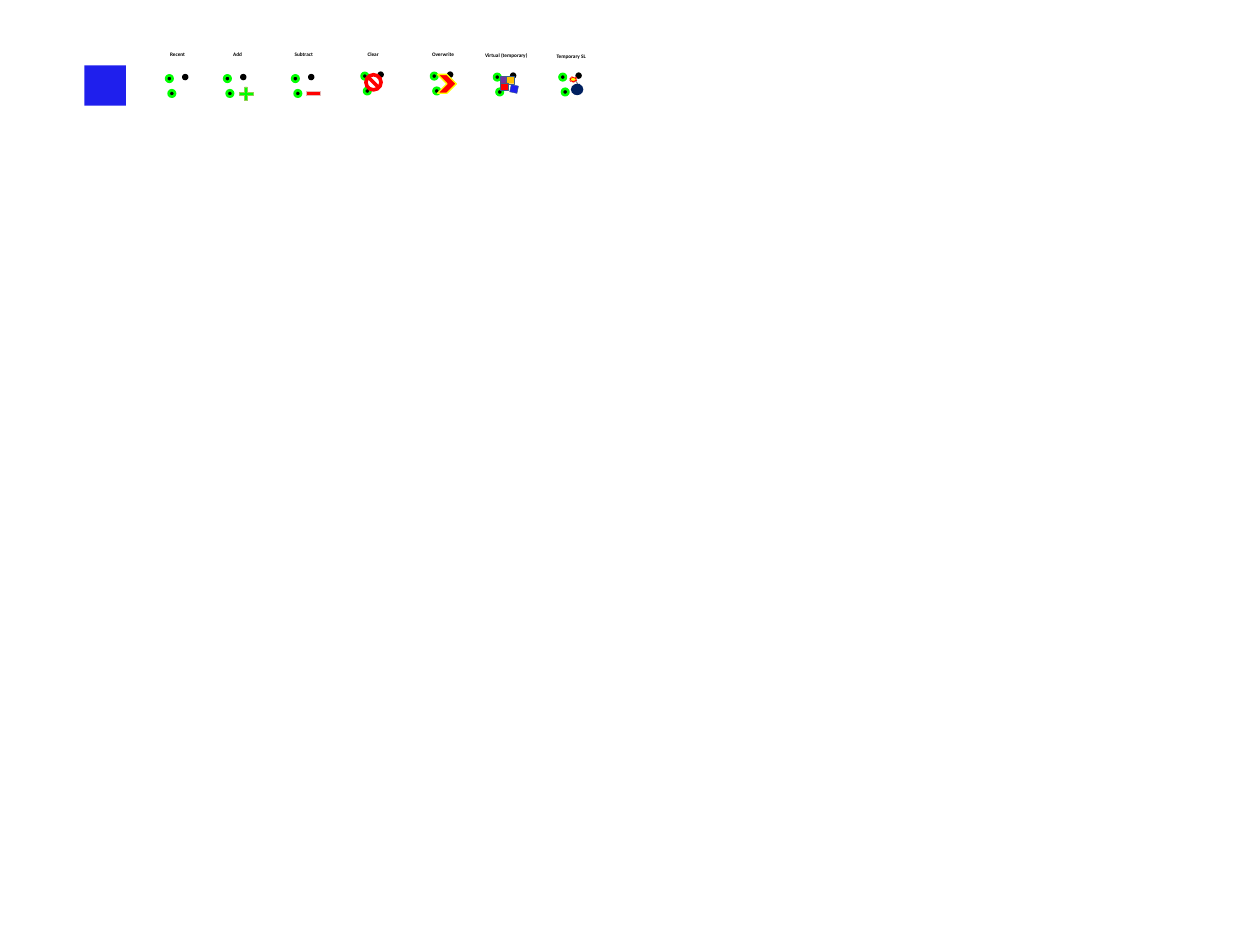
"""Build a slide with a row of small labelled selection icons."""
from pptx import Presentation
from pptx.dml.color import RGBColor
from pptx.enum.shapes import MSO_SHAPE
from pptx.oxml.ns import qn
from pptx.util import Cm, Pt

RECT, OVAL, ARC = MSO_SHAPE.RECTANGLE, MSO_SHAPE.OVAL, MSO_SHAPE.ARC
PLUS, MINUS = MSO_SHAPE.MATH_PLUS, MSO_SHAPE.MATH_MINUS
STOP, CHEVRON, BURST = MSO_SHAPE.NO_SYMBOL, MSO_SHAPE.CHEVRON, MSO_SHAPE.EXPLOSION1

BLACK = RGBColor(0x00, 0x00, 0x00)
BLUE = RGBColor(0x1F, 0x1F, 0xED)
GREEN = RGBColor(0x00, 0xFF, 0x00)
LIME = RGBColor(0x92, 0xD0, 0x50)
RED = RGBColor(0xFF, 0x00, 0x00)
PINK = RGBColor(0xE6, 0xB9, 0xB8)
YELLOW = RGBColor(0xFF, 0xFF, 0x00)
PURPLE = RGBColor(0x70, 0x30, 0xA0)
GOLD = RGBColor(0xFF, 0xC0, 0x00)
STEEL = RGBColor(0x3A, 0x5F, 0x8C)
NAVY = RGBColor(0x00, 0x20, 0x60)
GRAY = RGBColor(0x80, 0x80, 0x80)


def draw(home, kind, x, y, w, h, fill=None, line=None, width=0.25, adj=None, turn=0, flip=False):
    """Add one preset shape, sized in centimetres."""
    shape = home.add_shape(kind, Cm(x), Cm(y), Cm(w), Cm(h))
    shape.shadow.inherit = False
    shape.rotation = turn
    if fill is None:
        shape.fill.background()
    else:
        shape.fill.solid()
        shape.fill.fore_color.rgb = fill
    if line is None:
        shape.line.fill.background()
    else:
        shape.line.color.rgb = line
        shape.line.width = Pt(width)
    if adj is not None:
        shape.adjustments[0] = adj
    if flip:
        shape._element.spPr.find(qn("a:xfrm")).set("flipH", "1")


def label(slide, text, x, y, w):
    """Add one small bold caption."""
    box = slide.shapes.add_textbox(Cm(x), Cm(y), Cm(w), Cm(0.38))
    frame = box.text_frame
    frame.word_wrap = False
    frame.text = text
    font = frame.paragraphs[0].runs[0].font
    font.name = "Calibri"
    font.size = Pt(3)
    font.bold = True
    font.color.rgb = BLACK


deck = Presentation()
deck.slide_width, deck.slide_height = Cm(25.4), Cm(19.05)
slide = deck.slides.add_slide(deck.slide_layouts[6])

draw(slide.shapes, RECT, 1.7, 1.32, 0.84, 0.81, BLUE)

DOT = 0.13
dots = [(0, 0, GREEN), (0.32, -0.03, None), (0.05, 0.3, GREEN)]

plus = [(PLUS, 0.25, 0.18, 0.38, 0.38, GREEN, LIME, 0.25, 0.14)]
minus = [(MINUS, 0.23, 0.18, 0.38, 0.38, RED, PINK, 0.25, 0.21)]
stop = [(STOP, 0.05, 0, 0.38, 0.38, RED, None, 0, 0.2)]
arrow = [(CHEVRON, 0.13, 0.03, 0.38, 0.38, RED, YELLOW, 0.75)]
blocks = [
    (RECT, x, y, 0.15, 0.15, fill, STEEL, 0.25, None, turn)
    for x, y, fill, turn in [
        (0.13, 0.05, PURPLE, 0),
        (0.25, 0.05, GOLD, 0),
        (0.13, 0.18, RED, 0),
        (0.33, 0.23, BLUE, 12),
    ]
]
bomb = [
    (ARC, 0.13, 0.1, 0.23, 0.25, None, GRAY, 0.5, None, 100.5, True),
    (OVAL, 0.23, 0.2, 0.25, 0.23, NAVY),
    (RECT, 0.33, 0.2, 0.08, 0.08, NAVY),
    (BURST, 0.2, 0.05, 0.15, 0.13, YELLOW, RED, 0.25, None, 0, True),
]

icons = [
    ("Recent", 3.18, 0.91, 0.81, 3.35, 1.52, []),
    ("Add", 4.45, 0.91, 0.69, 4.52, 1.52, plus),
    ("Subtract", 5.69, 0.91, 0.89, 5.89, 1.52, minus),
    ("Clear", 7.16, 0.91, 0.74, 7.29, 1.47, stop),
    ("Overwrite", 8.46, 0.91, 0.97, 8.69, 1.47, arrow),
    ("Virtual (temporary)", 9.53, 0.93, 1.37, 9.96, 1.49, blocks),
    ("Temporary SL", 10.97, 0.95, 1.12, 11.28, 1.49, bomb),
]
for text, left, top, wide, x, y, marks in icons:
    label(slide, text, left, top, wide)
    group = slide.shapes.add_group_shape().shapes
    for dx, dy, ring in dots:
        draw(group, OVAL, x + dx, y + dy, DOT, DOT, BLACK, ring, 1.5)
    for kind, dx, dy, *rest in marks:
        draw(group, kind, x + dx, y + dy, *rest)

deck.save("out.pptx")
